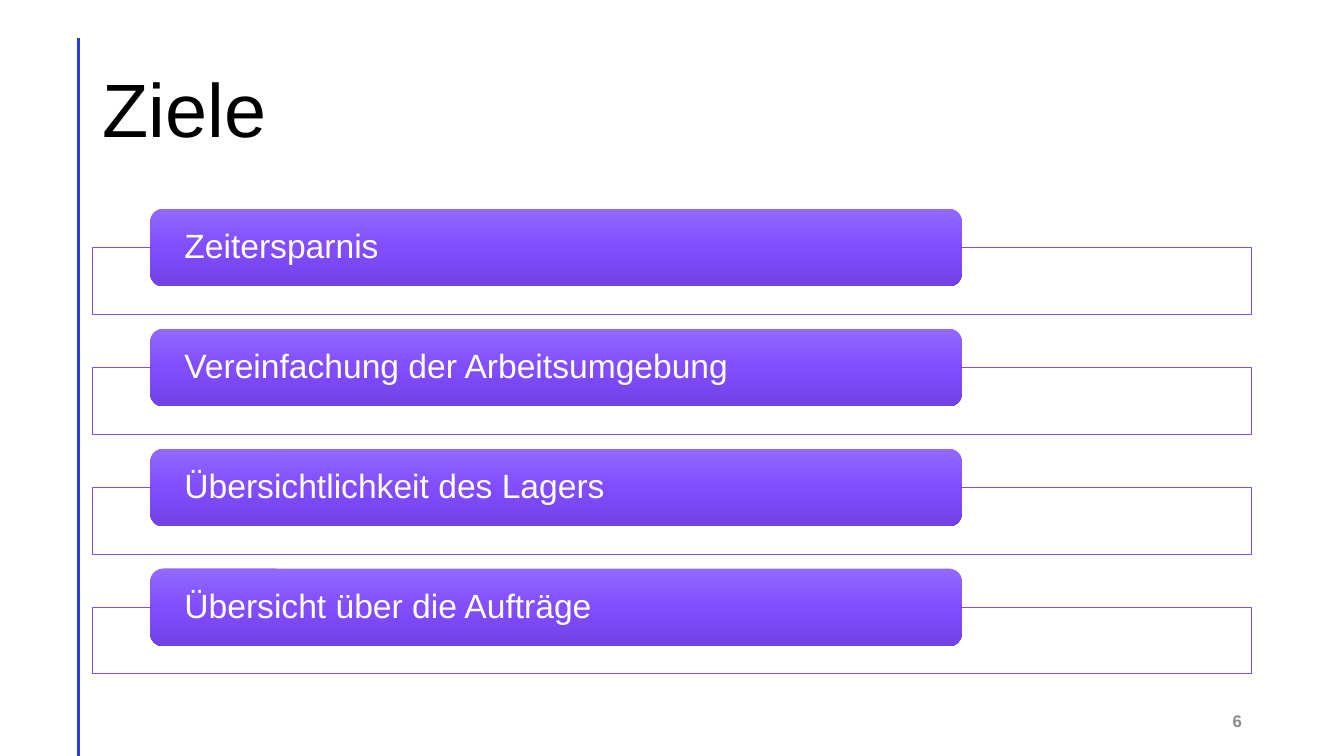
import copy

import pptx
import pptx.dml.color
import pptx.enum.shapes
import pptx.enum.text
import pptx.oxml.ns
import pptx.util

Pt = pptx.util.Pt
RGB = pptx.dml.color.RGBColor.from_string
SHAPE = pptx.enum.shapes.MSO_SHAPE
ALIGN = pptx.enum.text.PP_ALIGN
qn = pptx.oxml.ns.qn

COLORS = {
    "rule": "2A3CE6",
    "title": "000000",
    "number": "8C8C8C",
    "violet": "814DFF",
    "violet_light": "916AFF",
    "violet_dark": "7242E5",
    "white": "FFFFFF",
}
GOALS = [
    "Zeitersparnis",
    "Vereinfachung der Arbeitsumgebung",
    "Übersichtlichkeit des Lagers",
    "Übersicht über die Aufträge",
]
LEFT, WIDTH = 66.24, 828
FIRST_TOP, PITCH = 149, 85.7


def write(sp, text, size, color, align=ALIGN.LEFT, spacing=0.9):
    """Put one vertically centred line of text in a shape and return its run."""
    tf = sp.text_frame
    tf.word_wrap = True
    tf.vertical_anchor = pptx.enum.text.MSO_ANCHOR.MIDDLE
    tf.text = text
    p = tf.paragraphs[0]
    p.alignment = align
    p.line_spacing = spacing
    r = p.runs[0]
    r.font.name = "Arial"
    r.font.size = Pt(size)
    r.font.color.rgb = RGB(COLORS[color])
    return r


prs = pptx.Presentation()
prs.slide_width, prs.slide_height = Pt(960), Pt(540)
s = prs.slides.add_slide(prs.slide_layouts[6])

# Vertical rule beside the title
rule = s.shapes.add_connector(
    pptx.enum.shapes.MSO_CONNECTOR.STRAIGHT, Pt(56.2), Pt(27.5), Pt(56.2), Pt(540))
rule.line.color.rgb = RGB(COLORS["rule"])
rule.line.width = Pt(2)
rule._element.spPr.append(pptx.oxml.parse_xml(
    f'<a:effectLst {pptx.oxml.ns.nsdecls("a")}/>'))

# Title and page number
title = s.shapes.add_textbox(Pt(LEFT), Pt(28.8), Pt(WIDTH), Pt(104.4))
write(title, "Ziele", 54, "title")
number = s.shapes.add_textbox(Pt(678.24), Pt(500.4), Pt(216), Pt(28.8))
r = write(number, "6", 12, "number", ALIGN.RIGHT, 1)
r.font.bold = True
r._r.get_or_add_rPr().set("spc", "100")

# One outlined frame and one gradient bar per goal
for i, goal in enumerate(GOALS):
    top = FIRST_TOP + i * PITCH
    frame = s.shapes.add_shape(SHAPE.RECTANGLE, Pt(LEFT), Pt(top + 27.5), Pt(WIDTH), Pt(47.8))
    frame.shadow.inherit = False
    frame.fill.solid()
    frame.fill.fore_color.rgb = RGB(COLORS["white"])
    white = frame._element.spPr.find(qn("a:solidFill")).find(qn("a:srgbClr"))
    white.makeelement(qn("a:alpha"))
    pptx.oxml.ns  # namespace helpers
    alpha = copy.deepcopy(white.makeelement(qn("a:alpha"), {"val": "90000"}))
    white.append(alpha)
    frame.line.color.rgb = RGB(COLORS["violet"])
    frame.line.width = Pt(0.5)

    bar = s.shapes.add_shape(SHAPE.ROUNDED_RECTANGLE, Pt(107.4), Pt(top), Pt(579.6), Pt(55.6))
    bar.shadow.inherit = False
    bar.line.fill.background()
    bar.fill.gradient()
    bar.fill.gradient_angle = 270
    stops = bar._element.spPr.find(qn("a:gradFill")).find(qn("a:gsLst"))
    stops.append(copy.deepcopy(stops[0]))
    for stop, position, color in zip(
            bar.fill.gradient_stops, (0, 0.5, 1), ("violet_light", "violet", "violet_dark")):
        stop.position = position
        stop.color.rgb = RGB(COLORS[color])
    tf = bar.text_frame
    tf.margin_left = tf.margin_right = Pt(21.6)
    tf.margin_top = tf.margin_bottom = 0
    write(bar, goal, 24, "white")

prs.save("out.pptx")
